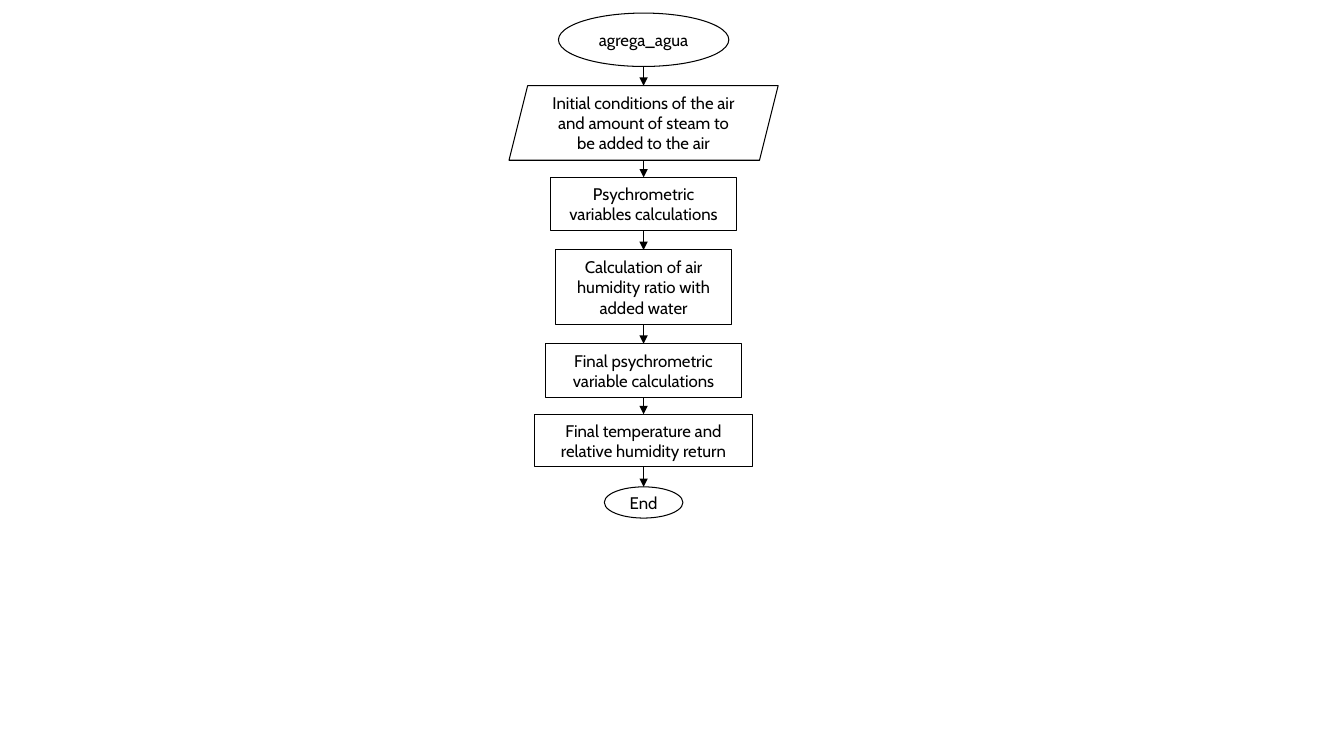
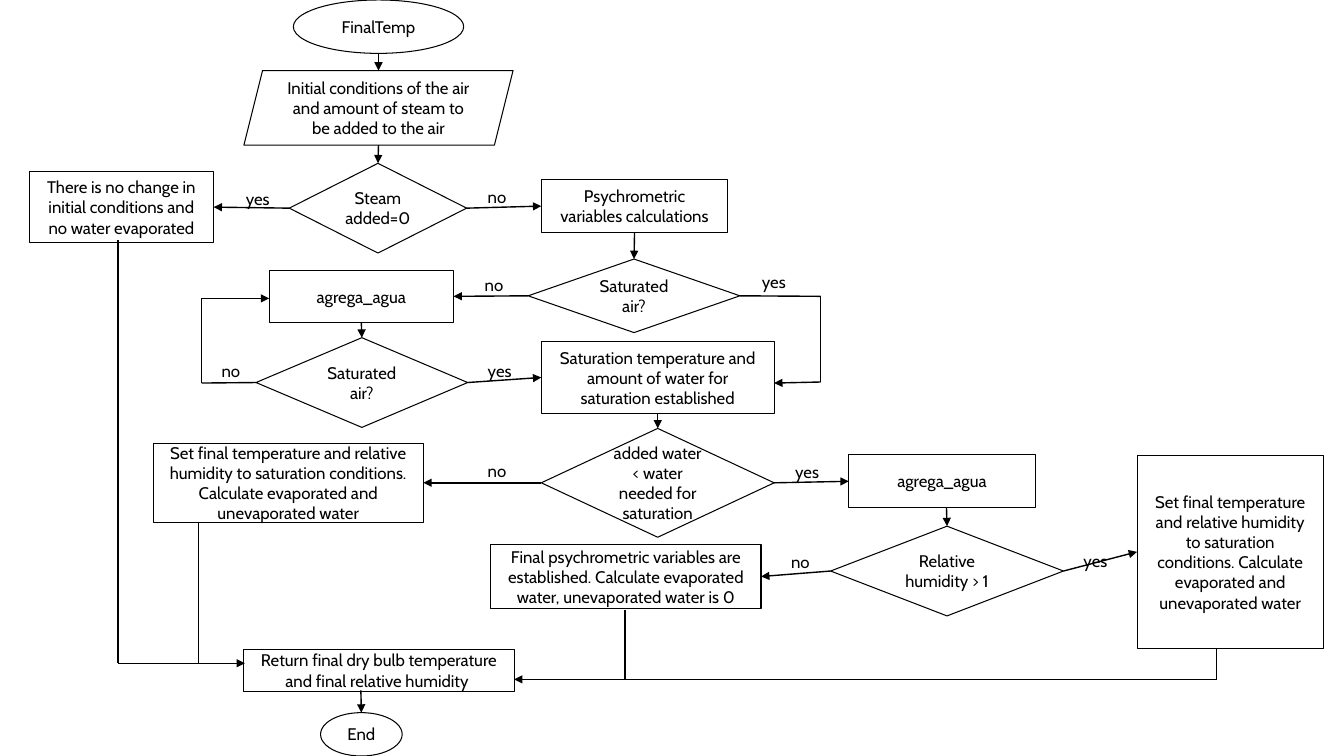
from dataclasses import dataclass
from itertools import pairwise

from lxml.etree import SubElement
from pptx import Presentation
from pptx.dml.color import RGBColor
from pptx.enum.shapes import MSO_CONNECTOR, MSO_SHAPE
from pptx.enum.text import MSO_AUTO_SIZE, PP_ALIGN
from pptx.oxml.ns import qn
from pptx.slide import Slide
from pptx.text.text import TextFrame
from pptx.util import Inches, Pt

COLUMNS, ROWS = 133.33, 75
CELL = Inches(0.1)
COLORS = {"ink": "000000", "paper": "FFFFFF"}
INK = RGBColor.from_string(COLORS["ink"])
FONT, TEXT_SIZE = "Cabin", Pt(12)
OUTLINE, ARROW_WIDTH = Pt(0.75), Pt(1)
LABEL_WIDTHS = {"yes": 4.5, "no": 3.9}
LABEL_HEIGHT = 3

TERMINAL = MSO_SHAPE.OVAL
INPUT = MSO_SHAPE.PARALLELOGRAM
PROCESS = MSO_SHAPE.RECTANGLE
DECISION = MSO_SHAPE.DIAMOND

INITIAL = "Initial conditions of the air and amount of steam to be added to the air"
PSYCHROMETRIC = "Psychrometric variables calculations"
SATURATE = (
    "Set final temperature and relative humidity to saturation conditions. "
    "Calculate evaporated and unevaporated water"
)

Point = tuple[float, float]
Stop = str | Point


@dataclass(frozen=True)
class Node:
    """A flowchart step, measured in grid cells."""

    kind: MSO_SHAPE
    text: str
    center: float
    top: float
    width: float
    height: float

    def side(self, name: str) -> Point:
        """Return the middle of the named side."""
        middle = self.top + self.height / 2
        return {
            "top": (self.center, self.top),
            "bottom": (self.center, self.top + self.height),
            "left": (self.center - self.width / 2, middle),
            "right": (self.center + self.width / 2, middle),
        }[name]


@dataclass(frozen=True)
class Route:
    """A path through grid points or node sides written as node.side."""

    stops: tuple[Stop, ...]
    arrow: bool = True


@dataclass(frozen=True)
class Label:
    """A branch answer placed on the grid."""

    text: str
    left: float
    top: float


@dataclass(frozen=True)
class Flowchart:
    """The nodes, routes and labels of one slide."""

    nodes: dict[str, Node]
    routes: tuple[Route, ...]
    labels: tuple[Label, ...] = ()


def cells(*lengths: float) -> list[int]:
    """Convert grid lengths to slide units."""
    return [round(length * CELL) for length in lengths]


def write(frame: TextFrame, text: str, alignment: PP_ALIGN) -> None:
    """Add one styled run to the frame."""
    paragraph = frame.paragraphs[0]
    paragraph.alignment = alignment
    run = paragraph.add_run()
    run.text = text
    run.font.name = FONT
    run.font.size = TEXT_SIZE
    run.font.color.rgb = INK


def draw_node(slide: Slide, node: Node) -> None:
    """Draw an outlined step with centred text."""
    left = node.center - node.width / 2
    shape = slide.shapes.add_shape(
        node.kind, *cells(left, node.top, node.width, node.height)
    )
    shape.shadow.inherit = False
    shape.fill.background()
    shape.line.color.rgb = INK
    shape.line.width = OUTLINE
    shape.text_frame.word_wrap = True
    write(shape.text_frame, node.text, PP_ALIGN.CENTER)


def draw_line(slide: Slide, start: Point, end: Point, arrow: bool) -> None:
    """Draw a straight line, with an arrowhead at its end if asked."""
    connector = slide.shapes.add_connector(
        MSO_CONNECTOR.STRAIGHT, *cells(*start, *end)
    )
    connector.line.color.rgb = INK
    connector.line.width = ARROW_WIDTH
    properties = connector._element.spPr
    if arrow:
        SubElement(properties.find(qn("a:ln")), qn("a:tailEnd"), type="triangle")
    SubElement(properties, qn("a:effectLst"))


def draw_route(slide: Slide, route: Route, nodes: dict[str, Node]) -> None:
    """Draw a route as a chain of straight lines."""
    points: list[Point] = []
    for stop in route.stops:
        if isinstance(stop, str):
            name, side = stop.split(".")
            points.append(nodes[name].side(side))
        else:
            points.append(stop)
    segments = list(pairwise(points))
    for number, (start, end) in enumerate(segments, 1):
        draw_line(slide, start, end, route.arrow and number == len(segments))


def draw_label(slide: Slide, label: Label) -> None:
    """Draw a branch answer beside its line."""
    box = slide.shapes.add_textbox(
        *cells(label.left, label.top, LABEL_WIDTHS[label.text], LABEL_HEIGHT)
    )
    box.text_frame.word_wrap = False
    box.text_frame.auto_size = MSO_AUTO_SIZE.SHAPE_TO_FIT_TEXT
    write(box.text_frame, label.text, PP_ALIGN.LEFT)


def draw_flowchart(slide: Slide, chart: Flowchart) -> None:
    """Draw a whole flowchart on the slide."""
    slide.background.fill.solid()
    slide.background.fill.fore_color.rgb = RGBColor.from_string(COLORS["paper"])
    for node in chart.nodes.values():
        draw_node(slide, node)
    for route in chart.routes:
        draw_route(slide, route, chart.nodes)
    for label in chart.labels:
        draw_label(slide, label)


def start_node(text: str, center: float, top: float) -> Node:
    """Return the opening terminal."""
    return Node(TERMINAL, text, center, top, 16.9, 5.3)


def input_node(center: float, top: float) -> Node:
    """Return the initial conditions step."""
    return Node(INPUT, INITIAL, center, top, 26.7, 7.4)


def psychrometric_node(center: float, top: float) -> Node:
    """Return the psychrometric calculation step."""
    return Node(PROCESS, PSYCHROMETRIC, center, top, 18.5, 5.3)


AXIS = 63.85
WATER_NODES = {
    "start": start_node("agrega_agua", AXIS, 1.3),
    "input": input_node(AXIS, 8.5),
    "variables": psychrometric_node(AXIS, 17.6),
    "ratio": Node(PROCESS, "Calculation of air humidity ratio with added water",
                  AXIS, 24.8, 17.5, 7.4),
    "final": Node(PROCESS, "Final psychrometric variable calculations",
                  AXIS, 34.1, 19.4, 5.3),
    "return": Node(PROCESS, "Final temperature and relative humidity return",
                   AXIS, 41.1, 21.7, 5.2),
    "end": Node(TERMINAL, "End", AXIS, 48.3, 7.8, 3.1),
}
WATER_CHART = Flowchart(
    WATER_NODES,
    tuple(
        Route((f"{upper}.bottom", f"{lower}.top"))
        for upper, lower in pairwise(WATER_NODES)
    ),
)

TEMPERATURE_CHART = Flowchart(
    nodes={
        "start": start_node("FinalTemp", 37.55, 0),
        "input": input_node(37.55, 7),
        "steam": Node(DECISION, "Steam added=0", 37.5, 16.2, 17.6, 8.9),
        "unchanged": Node(
            PROCESS,
            "There is no change in initial conditions and no water evaporated",
            12.05, 17, 18.3, 7.1),
        "variables": psychrometric_node(62.95, 17.8),
        "saturated": Node(DECISION, "Saturated air?", 62.9, 25.7, 21, 7.3),
        "add": Node(PROCESS, "agrega_agua", 35.85, 26.8, 18.3, 5.2),
        "recheck": Node(DECISION, "Saturated air?", 35.9, 33.5, 21, 8.9),
        "established": Node(
            PROCESS,
            "Saturation temperature and amount of water for saturation established",
            65.25, 33.9, 23.1, 7.1),
        "compare": Node(DECISION, "added water < water needed for saturation",
                        65.25, 42.5, 23.1, 10.8),
        "surplus": Node(PROCESS, SATURATE, 28.6, 44, 26.8, 7.8),
        "add_all": Node(PROCESS, "agrega_agua", 93.45, 45.1, 18.5, 5.3),
        "humidity": Node(DECISION, "Relative humidity > 1", 93.95, 52.2, 23.1, 8.9),
        "evaporated": Node(
            PROCESS,
            "Final psychrometric variables are established. "
            "Calculate evaporated water, unevaporated water is 0",
            62.1, 54, 26.8, 6.4),
        "excess": Node(PROCESS, SATURATE, 122.05, 45.2, 18.5, 19.1),
        "return": Node(
            PROCESS,
            "Return final dry bulb temperature and final relative humidity ",
            37.6, 64.4, 26.8, 4.2),
        "end": Node(TERMINAL, "End", 35.85, 70.7, 8.1, 4.3),
    },
    routes=(
        Route(("start.bottom", "input.top")),
        Route(("input.bottom", "steam.top")),
        Route(("steam.left", "unchanged.right")),
        Route(("steam.right", "variables.left")),
        Route(("variables.bottom", "saturated.top")),
        Route(("saturated.left", "add.right")),
        Route(("saturated.right", (81.4, 29.4), (81.4, 37.9), (76.8, 38))),
        Route(("add.bottom", "recheck.top")),
        Route(("recheck.right", "established.left")),
        Route(("recheck.left", (20, 38), (20, 29.6), (26.7, 29.6))),
        Route(("established.bottom", "compare.top")),
        Route(("compare.left", "surplus.right")),
        Route(("compare.right", "add_all.left")),
        Route(((93.9, 50.4), "humidity.top")),
        Route(("humidity.left", "evaporated.right")),
        Route(("humidity.right", "excess.left")),
        Route(((11.7, 23.8), (11.7, 65.8), (19.7, 65.8), (24.3, 65.8))),
        Route(((19.7, 51.8), (19.7, 65.8)), arrow=False),
        Route(((120.7, 64.4), (120.7, 67.4), (51, 67.4))),
        Route(((62, 60.5), (62, 67.4)), arrow=False),
        Route(((35.8, 68.5), "end.top")),
    ),
    labels=(
        Label("yes", 23.4, 18.2),
        Label("no", 47.4, 18),
        Label("yes", 74.6, 26.5),
        Label("no", 47.1, 26.8),
        Label("yes", 47.4, 35.3),
        Label("no", 21, 35.3),
        Label("yes", 77.9, 45.3),
        Label("no", 47.4, 45.2),
        Label("yes", 106.5, 54.1),
        Label("no", 77.5, 54.2),
    ),
)


def main() -> None:
    """Build and save the presentation."""
    presentation = Presentation()
    presentation.slide_width, presentation.slide_height = cells(COLUMNS, ROWS)
    blank = presentation.slide_layouts[6]
    for chart in (WATER_CHART, TEMPERATURE_CHART):
        draw_flowchart(presentation.slides.add_slide(blank), chart)
    presentation.save("out.pptx")


main()
